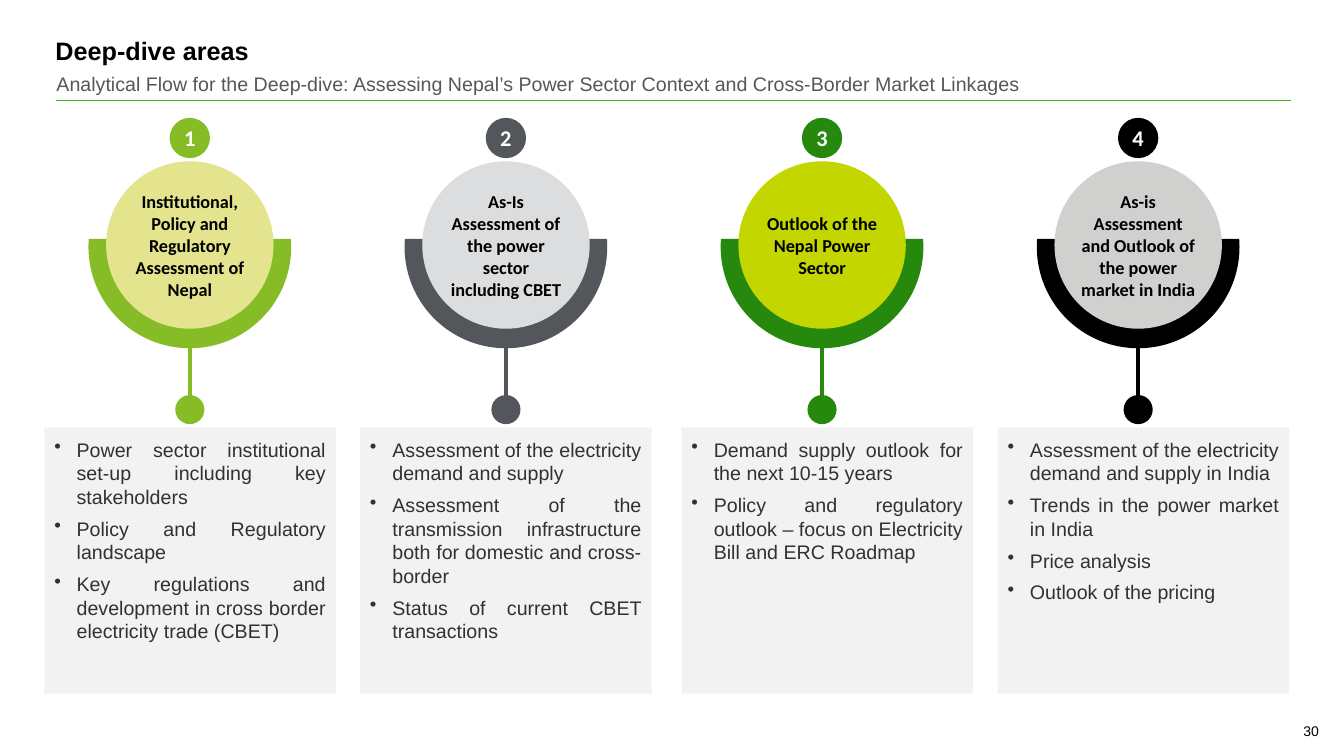
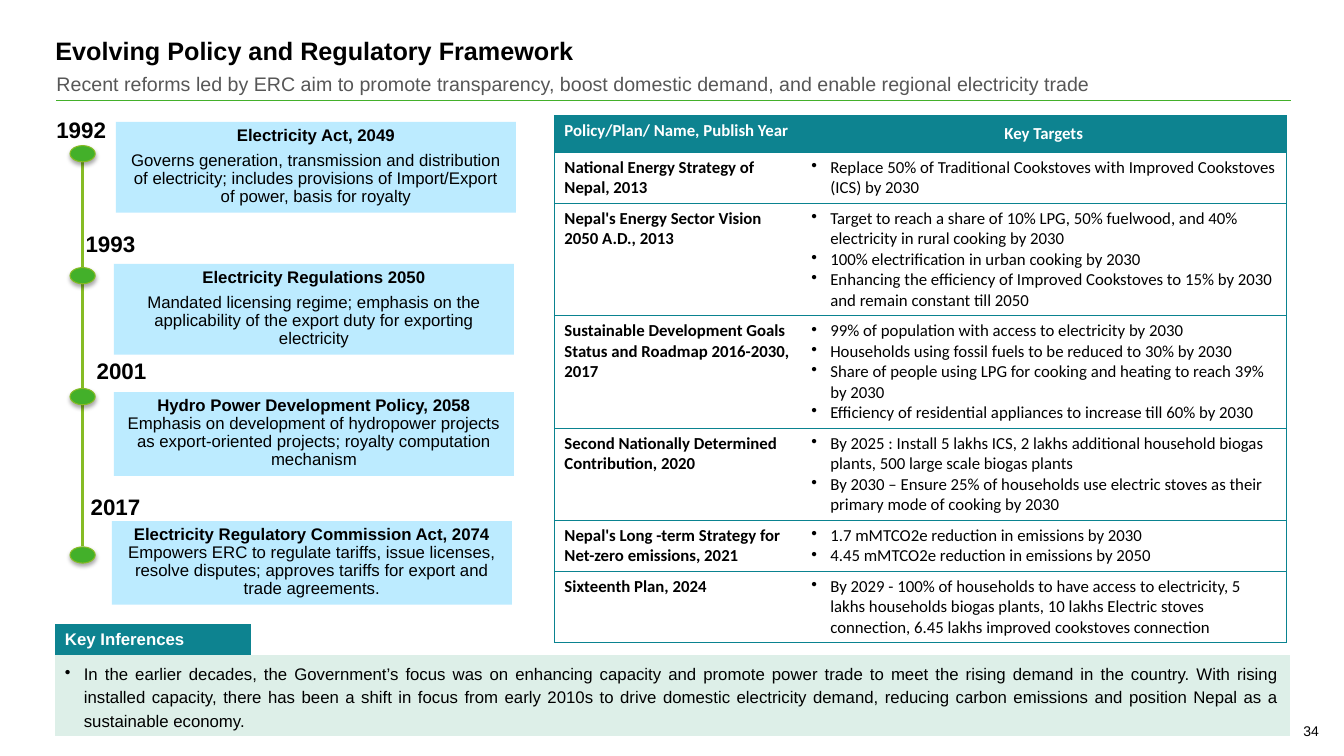
from lxml import etree
from pptx import Presentation
from pptx import util as u
from pptx.dml.color import RGBColor
from pptx.enum import shapes, text
from pptx.oxml import ns

Pt = u.Pt
Form = shapes.MSO_SHAPE
Align = text.PP_ALIGN
Anchor = text.MSO_ANCHOR

hues = {
    "black": "000000", "white": "FFFFFF", "rule": "43B02A", "lime": "86BC25",
    "slate": "53565A", "green": "26890D", "cream": "E3E48D", "mist": "DCDDDF",
    "acid": "C4D600", "stone": "D0D0CE", "panel": "F2F2F2", "body": "313131",
    "sub": "575757", "sky": "BCEBFF", "teal": "0D8390", "edge": "0A8390",
    "mint": "DDEFE8",
}
rgb = {name: RGBColor.from_string(code) for name, code in hues.items()}


def write(frame, lines, size, hue="black", font="Arial", bold=False, align=Align.LEFT,
          indent=0, before=0, after=0, space=None, pad=None, anchor=Anchor.TOP):
    frame.text = "\n".join(lines)
    if pad:
        frame.word_wrap = True
        frame.auto_size = text.MSO_AUTO_SIZE.NONE
        frame.vertical_anchor = anchor
        frame.margin_left = frame.margin_right = Pt(pad[0])
        frame.margin_top = frame.margin_bottom = Pt(pad[1])
    for i, para in enumerate(frame.paragraphs):
        para.alignment = align
        para.space_before = Pt(before if i else 0)
        para.space_after = Pt(after)
        para.line_spacing = space
        if indent:
            prop = para._p.get_or_add_pPr()
            prop.set("marL", str(Pt(indent)))
            prop.set("indent", str(-Pt(indent)))
            etree.SubElement(prop, ns.qn("a:buChar"), char="•")
        for run in para.runs:
            run.font.size = Pt(size)
            run.font.name = font
            run.font.bold = bold
            run.font.color.rgb = rgb[hue]


def put(page, form, x, y, w, h, fill):
    shape = page.shapes.add_shape(form, Pt(x), Pt(y), Pt(w), Pt(h))
    shape.shadow.inherit = False
    shape.fill.solid()
    shape.fill.fore_color.rgb = rgb[fill]
    shape.line.fill.background()
    return shape


deck = Presentation()
deck.slide_width, deck.slide_height = Pt(960), Pt(540)

heads = [
    ("Deep-dive areas",
     "Analytical Flow for the Deep-dive: Assessing Nepal’s Power Sector Context "
     "and Cross-Border Market Linkages", "30"),
    ("Evolving Policy and Regulatory Framework",
     "Recent reforms led by ERC aim to promote transparency, boost domestic demand, "
     "and enable regional electricity trade", "34"),
]
pages = []
for title, sub, number in heads:
    page = deck.slides.add_slide(deck.slide_layouts[5])
    pages.append(page)
    head = page.shapes.title
    head.left, head.top, head.width, head.height = Pt(39.6), Pt(25.2), Pt(881), Pt(26.6)
    write(head.text_frame, [title], 18, bold=True, pad=(0, 0))
    for x, y, w, h, words, size, hue in [(40.3, 51.1, 902, 20, sub, 14, "sub"),
                                         (931, 516.2, 20, 12, number, 10, "black")]:
        box = page.shapes.add_textbox(Pt(x), Pt(y), Pt(w), Pt(h))
        write(box.text_frame, [words], size, hue, pad=(0, 0))

flow, policy = pages
first, step = 135.6, 225.8
areas = [
    ("lime", "cream", 31.7, "Institutional, Policy and Regulatory Assessment of Nepal",
     ["Power sector institutional set-up including key stakeholders",
      "Policy and Regulatory landscape",
      "Key regulations and development in cross border electricity trade (CBET)"]),
    ("slate", "mist", 257.2, "As-Is Assessment of the power sector including CBET",
     ["Assessment of the electricity demand and supply",
      "Assessment of the transmission infrastructure both for domestic and cross-border",
      "Status of current CBET transactions"]),
    ("green", "acid", 486.8, "Outlook of the Nepal Power Sector",
     ["Demand supply outlook for the next 10-15 years",
      "Policy and regulatory outlook – focus on Electricity Bill and ERC Roadmap"]),
    ("black", "stone", 712.6, "As-is Assessment and Outlook of the power market in India",
     ["Assessment of the electricity demand and supply in India",
      "Trends in the power market in India",
      "Price analysis",
      "Outlook of the pricing"]),
]

rules = [(page, 40.3, 72, 922.3, 72, "rule", 1) for page in pages]
rules += [(flow, first + i * step, 248, first + i * step, 284, area[0], 3)
          for i, area in enumerate(areas)]
rules.append((policy, 59, 110, 59, 390, "lime", 2.25))
for page, x, y, right, base, hue, wide in rules:
    line = page.shapes.add_connector(shapes.MSO_CONNECTOR.STRAIGHT,
                                     Pt(x), Pt(y), Pt(right), Pt(base))
    line.line.color.rgb = rgb[hue]
    line.line.width = Pt(wide)
    etree.SubElement(line.element.spPr, ns.qn("a:effectLst"))

for i, (dark, light, left, name, points) in enumerate(areas):
    mid = first + i * step
    arc = put(flow, Form.CHORD, mid - 72.4, 104, 144.8, 144.8, dark)
    arc.adjustments[0] = 355.5 * 0.6
    arc.adjustments[1] = 184.5 * 0.6
    disc = put(flow, Form.OVAL, mid - 59.8, 115.2, 119.6, 119.6, light)
    write(disc.text_frame, [name], 13, font="Calibri", bold=True, align=Align.CENTER,
          pad=(0, 0), anchor=Anchor.MIDDLE)
    put(flow, Form.OVAL, mid - 10.4, 282.2, 20.8, 20.8, dark)
    card = put(flow, Form.RECTANGLE, left, 305.3, 208.2, 190.2, "panel")
    write(card.text_frame, points, 14, "body", align=Align.JUSTIFY, indent=16,
          before=6, pad=(7.2, 7.2))
    badge = put(flow, Form.OVAL, mid - 14.4, 84.2, 28.8, 28.8, dark)
    write(badge.text_frame, [str(i + 1)], 16, "white", "Calibri", True, Align.CENTER,
          pad=(0, 0), anchor=Anchor.MIDDLE)

acts = [
    ("1992", 19.4, 79.2, 109.8, 82.8, 87.1, 64.8, 5, "Electricity Act, 2049",
     "Governs generation, transmission and distribution of electricity; includes "
     "provisions of Import/Export of power, basis for royalty"),
    ("1993", 40.3, 160.6, 196.9, 81.4, 188.6, 64.8, 5, "Electricity Regulations 2050",
     "Mandated licensing regime; emphasis on the applicability of the export duty "
     "for exporting electricity"),
    ("2001", 48.2, 251.3, 283.3, 81.4, 280.1, 59.8, 0,
     "Hydro Power Development Policy, 2058",
     "Emphasis on development of hydropower projects as export-oriented projects; "
     "royalty computation mechanism"),
    ("2017", 43.9, 348.5, 396.4, 79.9, 372.2, 59.8, 0,
     "Electricity Regulatory Commission Act, 2074",
     "Empowers ERC to regulate tariffs, issue licenses, resolve disputes; approves "
     "tariffs for export and trade agreements."),
]
for year, x, y, dot, left, top, high, gap, name, note in acts:
    node = put(policy, Form.OVAL, 50, dot - 5.8, 18, 11.6, "rule")
    node.line.color.rgb = rgb["lime"]
    node.line.width = Pt(0.75)
    glow = node.element.spPr.find(ns.qn("a:effectLst"))
    shade = etree.SubElement(glow, ns.qn("a:outerShdw"), blurRad="40000", dist="23000",
                             dir="5400000", rotWithShape="0")
    tint = etree.SubElement(shade, ns.qn("a:srgbClr"), val=hues["black"])
    etree.SubElement(tint, ns.qn("a:alpha"), val="35000")
    box = policy.shapes.add_textbox(Pt(x), Pt(y), Pt(63.4), Pt(26.6))
    write(box.text_frame, [year], 16, bold=True, align=Align.RIGHT, pad=(7.2, 3.6))
    card = put(policy, Form.RECTANGLE, left, top, 285.8, high, "sky")
    write(card.text_frame, [name, note], 12, align=Align.CENTER, after=gap,
          space=0.9, pad=(7.2, 3.6))
    card.text_frame.paragraphs[0].runs[0].font.bold = True

goals = [
    ("Policy/Plan/ Name, Publish Year", ["Key Targets"]),
    ("National Energy Strategy of Nepal, 2013",
     ["Replace 50% of Traditional Cookstoves with Improved Cookstoves (ICS) by 2030"]),
    ("Nepal's Energy Sector Vision 2050 A.D., 2013",
     ["Target to reach a share of 10% LPG, 50% fuelwood, and 40% electricity in rural "
      "cooking by 2030",
      "100% electrification in urban cooking by 2030",
      "Enhancing the efficiency of Improved Cookstoves to 15% by 2030 and remain "
      "constant till 2050"]),
    ("Sustainable Development Goals Status and Roadmap 2016-2030, 2017",
     ["99% of population with access to electricity by 2030",
      "Households using fossil fuels to be reduced to 30% by 2030",
      "Share of people using LPG for cooking and heating to reach 39% by 2030",
      "Efficiency of residential appliances to increase till 60% by 2030"]),
    ("Second Nationally Determined Contribution, 2020",
     ["By 2025 : Install 5 lakhs ICS, 2 lakhs additional household biogas plants, "
      "500 large scale biogas plants",
      "By 2030 – Ensure 25% of households use electric stoves as their primary mode "
      "of cooking by 2030"]),
    ("Nepal's Long -term Strategy for Net-zero emissions, 2021",
     ["1.7 mMTCO2e reduction in emissions by 2030",
      "4.45 mMTCO2e reduction in emissions by 2050"]),
    ("Sixteenth Plan, 2024",
     ["By 2029 - 100% of households to have access to electricity, 5 lakhs households "
      "biogas plants, 10 lakhs Electric stoves connection, 6.45 lakhs improved "
      "cookstoves connection"]),
]
grids = []
for x, y, cols, rows in [
    (39.2, 445.7, [140.4, 741.6], [21, 58.3]),
    (396, 82.8, [176.4, 346.3], [25.9, 36.4, 79.3, 79.3, 64.4, 36.4, 50]),
]:
    frame = policy.shapes.add_table(len(rows), len(cols), Pt(x), Pt(y),
                                    Pt(sum(cols)), Pt(sum(rows)))
    style = frame.element.xpath(".//a:tableStyleId")[0]
    style.text = "{2D5ABB26-0587-4C30-8999-92F81FD0307C}"
    for col, wide in zip(frame.table.columns, cols):
        col.width = Pt(wide)
    for row, high in zip(frame.table.rows, rows):
        row.height = Pt(high)
    grids.append(frame.table)

notes, plans = grids
notes.cell(1, 0).merge(notes.cell(1, 1))
for r, c, fill in [(0, 0, "teal"), (0, 1, "white"), (1, 0, "mint")]:
    cell = notes.cell(r, c)
    cell.fill.solid()
    cell.fill.fore_color.rgb = rgb[fill]
    cell.vertical_anchor = Anchor.MIDDLE
blank = notes.cell(0, 1)
blank.margin_top = blank.margin_bottom = 0
write(notes.cell(0, 0).text_frame, ["Key Inferences"], 12, "white", bold=True)
write(notes.cell(1, 0).text_frame,
      ["In the earlier decades, the Government’s focus was on enhancing capacity and "
       "promote power trade to meet the rising demand in the country. With rising "
       "installed capacity, there has been a shift in focus from early 2010s to drive "
       "domestic electricity demand, reducing carbon emissions and position Nepal as a "
       "sustainable economy."], 12, align=Align.JUSTIFY, indent=13.5, space=1.25)

for r, (name, aims) in enumerate(goals):
    for c, lines in enumerate([[name], aims]):
        cell = plans.cell(r, c)
        cell.fill.solid()
        cell.fill.fore_color.rgb = rgb["white" if r else "teal"]
        bullet = r > 0 and c == 1
        title = r == 0 and c == 1
        cell.vertical_anchor = Anchor.MIDDLE if title else Anchor.TOP
        write(cell.text_frame, lines, 12, "black" if r else "white", "Calibri",
              not bullet, Align.CENTER if title else Align.LEFT,
              indent=13.5 if bullet else 0)
        prop = cell._tc.get_or_add_tcPr()
        for i, side in enumerate(["lnR" if c else "lnL", "lnT", "lnB"]):
            edge = etree.Element(ns.qn("a:" + side), w=str(Pt(0.75)))
            fill = etree.SubElement(edge, ns.qn("a:solidFill"))
            etree.SubElement(fill, ns.qn("a:srgbClr"), val=hues["edge"])
            prop.insert(i, edge)

deck.save("out.pptx")
